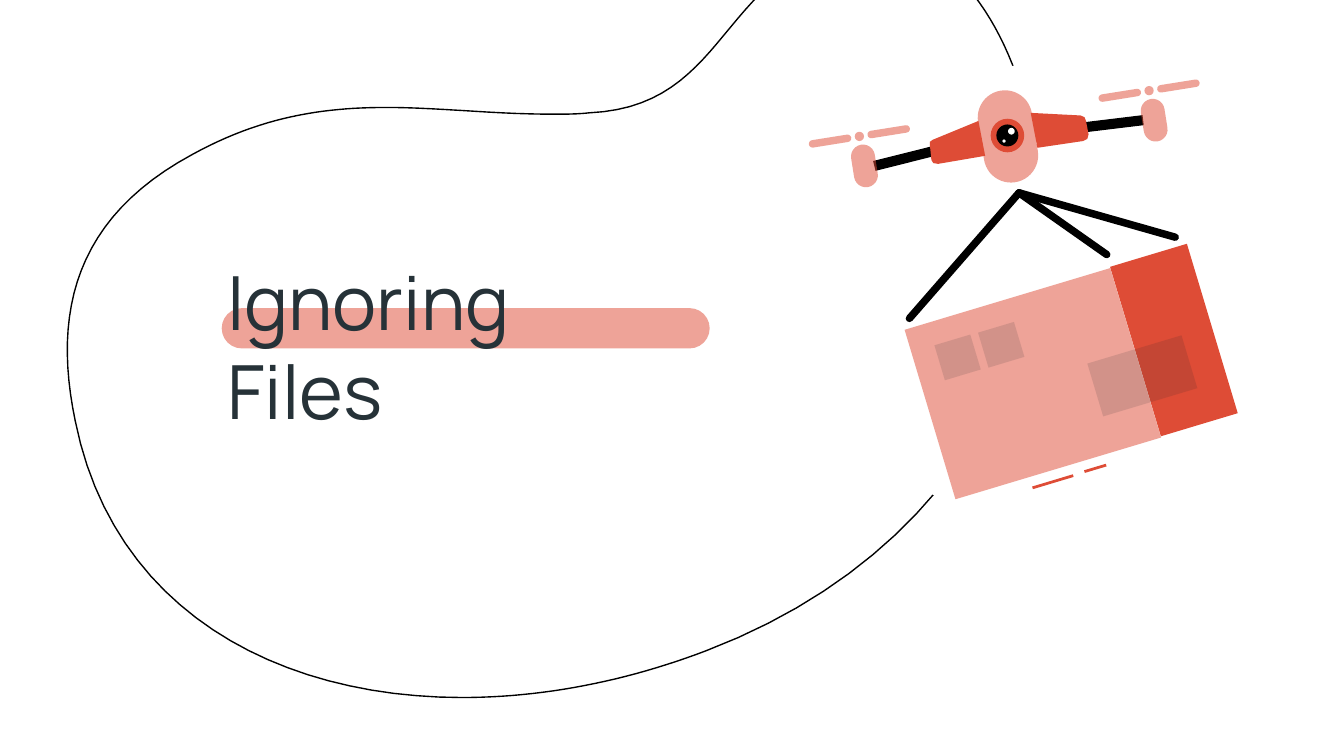
from lxml.etree import SubElement
from pptx import Presentation
from pptx.dml.color import RGBColor
from pptx.enum.shapes import MSO_CONNECTOR, MSO_SHAPE
from pptx.enum.text import MSO_ANCHOR, MSO_AUTO_SIZE, PP_ALIGN
from pptx.oxml.ns import qn
from pptx.util import Pt

COLORS = {
    "accent": "DE4C36",
    "ink": "263238",
    "shade": "1A2327",
    "black": "000000",
    "white": "FFFFFF",
}
FONT = "Manrope"
TINT = 51
SHADE = 13
DRONE_TILT = -9
BOX_TILT = -16.7

TRAIL_START = (468.7, -31.7)
TRAIL_CURVES = [
    ((457.9, -31.7), (445.7, -28.8), (432.7, -22.3)),
    ((384.5, 2.9), (380.9, 57.6), (315.4, 60.5)),
    ((308.9, 61.2), (302.4, 61.2), (295.9, 61.2)),
    ((264.2, 61.2), (235.4, 57.6), (206.6, 57.6)),
    ((172.8, 57.6), (139.7, 62.6), (103, 82.8)),
    ((40.3, 116.6), (28.1, 167), (40.3, 225.4)),
    ((60.5, 326.2), (147.6, 373.7), (247.7, 373.7)),
    ((290.9, 373.7), (335.5, 365), (378.7, 348.5)),
    ((516.2, 295.9), (579.6, 174.2), (548.6, 53.3)),
    ((538.6, 16.6), (512.6, -31.7), (468.7, -31.7)),
]


def rgb(color):
    return RGBColor.from_string(COLORS[color])


def paint(shape, color, opacity=100):
    shape.shadow.inherit = False
    shape.line.fill.background()
    shape.fill.solid()
    shape.fill.fore_color.rgb = rgb(color)
    if opacity < 100:
        clr = shape.fill._xPr.find(qn("a:solidFill"))[0]
        SubElement(clr, qn("a:alpha"), val=str(opacity * 1000))


def add_centered(slide, kind, center, size, color, opacity=100, tilt=0):
    """Preset shape placed by its centre; rounded rectangles become capsules."""
    (x, y), (width, height) = center, size
    shape = slide.shapes.add_shape(
        kind, Pt(x - width / 2), Pt(y - height / 2), Pt(width), Pt(height))
    if kind == MSO_SHAPE.ROUNDED_RECTANGLE:
        shape.adjustments[0] = 0.5
    shape.rotation = tilt
    paint(shape, color, opacity)


def add_dot(slide, center, diameter, color, opacity=100):
    add_centered(slide, MSO_SHAPE.OVAL, center, (diameter, diameter), color, opacity)


def add_capsule(slide, center, size, tilt=0):
    add_centered(slide, MSO_SHAPE.ROUNDED_RECTANGLE, center, size, "accent", TINT, tilt)


def add_outline(slide, points):
    start, *others = [(Pt(x), Pt(y)) for x, y in points]
    builder = slide.shapes.build_freeform(*start)
    builder.add_line_segments(others, close=True)
    return builder.convert_to_shape()


def add_bar(slide, start, end, width, cap):
    bar = slide.shapes.add_connector(
        MSO_CONNECTOR.STRAIGHT, *(Pt(v) for v in (*start, *end)))
    bar.line.width = Pt(width)
    bar.line.color.rgb = rgb("black")
    bar.line._get_or_add_ln().set("cap", cap)
    SubElement(bar._element.spPr, qn("a:effectLst"))


def curve_points(start, curves, steps=24):
    """Points along a chain of cubic Bezier curves."""
    points = [start]
    for first, second, end in curves:
        origin = points[-1]
        for step in range(1, steps + 1):
            t = step / steps
            u = 1 - t
            points.append(tuple(
                u**3 * a + 3 * u * u * t * b + 3 * u * t * t * c + t**3 * d
                for a, b, c, d in zip(origin, first, second, end)))
    return points


def add_trail(slide):
    trail = add_outline(slide, curve_points(TRAIL_START, TRAIL_CURVES))
    trail.shadow.inherit = False
    trail.fill.background()
    trail.line.color.rgb = rgb("black")
    trail.line.width = Pt(0.75)


def add_title(slide):
    add_capsule(slide, (249.5, 175.9), (261.4, 21.6))
    title = slide.shapes.title
    slide.shapes._spTree.append(title._element)  # above the highlight
    title.left, title.top, title.width, title.height = (
        Pt(v) for v in (114.5, 129.6, 304.6, 56.9))
    frame = title.text_frame
    frame.word_wrap = True
    frame.auto_size = MSO_AUTO_SIZE.NONE
    frame.vertical_anchor = MSO_ANCHOR.TOP
    frame.margin_left = frame.margin_right = Pt(7.2)
    frame.margin_top = frame.margin_bottom = Pt(7.2)
    paragraph = frame.paragraphs[0]
    paragraph.alignment = PP_ALIGN.LEFT
    for number, word in enumerate(("Ignoring", "Files")):
        if number:
            paragraph.add_line_break()
        run = paragraph.add_run()
        run.text = word
        run.font.name = FONT
        run.font.size = Pt(40)
        run.font.color.rgb = rgb("ink")


def add_box(slide):
    for center, size, color, opacity in (
        ((564.1, 258.1), (22.8, 1.5), "accent", 100),
        ((586.8, 250.9), (12.2, 1.5), "accent", 100),
        ((553.3, 205.6), (115, 94.8), "accent", TINT),
        ((628.9, 182.2), (43, 94.8), "accent", 100),
        ((612, 201.4), (52.7, 29.6), "shade", SHADE),
        ((513, 191.5), (20.1, 19.6), "shade", SHADE),
        ((536.4, 184.7), (20.1, 19.6), "shade", SHADE),
    ):
        add_centered(slide, MSO_SHAPE.RECTANGLE, center, size, color, opacity, BOX_TILT)


def add_rotor(slide, hub):
    x, y = hub
    add_capsule(slide, (x + 2.7, y + 15.8), (12.8, 23), DRONE_TILT)
    add_dot(slide, hub, 5, "accent", TINT)
    for side in (-1, 1):
        add_capsule(slide, (x + side * 15.7, y - side * 2.5), (23, 4), DRONE_TILT)


def add_drone(slide):
    add_capsule(slide, (540, 73.1), (29.2, 49.7), DRONE_TILT)
    for center, diameter, color in (
        ((539.7, 72.6), 18, "accent"),
        ((539.7, 72.6), 11.8, "black"),
        ((541.8, 70.3), 3.6, "white"),
        ((537.9, 75.6), 1.7, "white"),
    ):
        add_dot(slide, center, diameter, color)
    add_bar(slide, (579.2, 68.4), (612.4, 64.4), 5.4, "flat")
    add_bar(slide, (468.4, 88.9), (501.5, 80.6), 5.4, "flat")
    right_wing = [(552.2, 60.5), (555.8, 79.2), (580.3, 75.6), (582.5, 74.5),
                  (583.2, 72), (581.8, 64.8), (581, 62.8), (578.9, 61.9)]
    left_wing = [(524.2, 64.8), (499.7, 74.9), (498.2, 76), (498.2, 77.8),
                 (499, 85.7), (500, 87.4), (502.6, 87.8), (527.8, 83.5)]
    for wing in (right_wing, left_wing):
        paint(add_outline(slide, wing), "accent")
    for hub in ((615.6, 48.6), (460.4, 73.1)):
        add_rotor(slide, hub)


def add_ropes(slide):
    for end in ((629.6, 127.1), (592.9, 136.4), (487.2, 170.6)):
        add_bar(slide, (545.9, 103.3), end, 4, "rnd")


def main():
    deck = Presentation()
    deck.slide_width, deck.slide_height = Pt(720), Pt(405)
    slide = deck.slides.add_slide(deck.slide_layouts[5])
    slide.background.fill.solid()
    slide.background.fill.fore_color.rgb = rgb("white")
    add_trail(slide)
    add_title(slide)
    add_dot(slide, (561.6, 157.7), 247.7, "white")
    add_box(slide)
    add_drone(slide)
    add_ropes(slide)
    deck.save("out.pptx")


if __name__ == "__main__":
    main()
